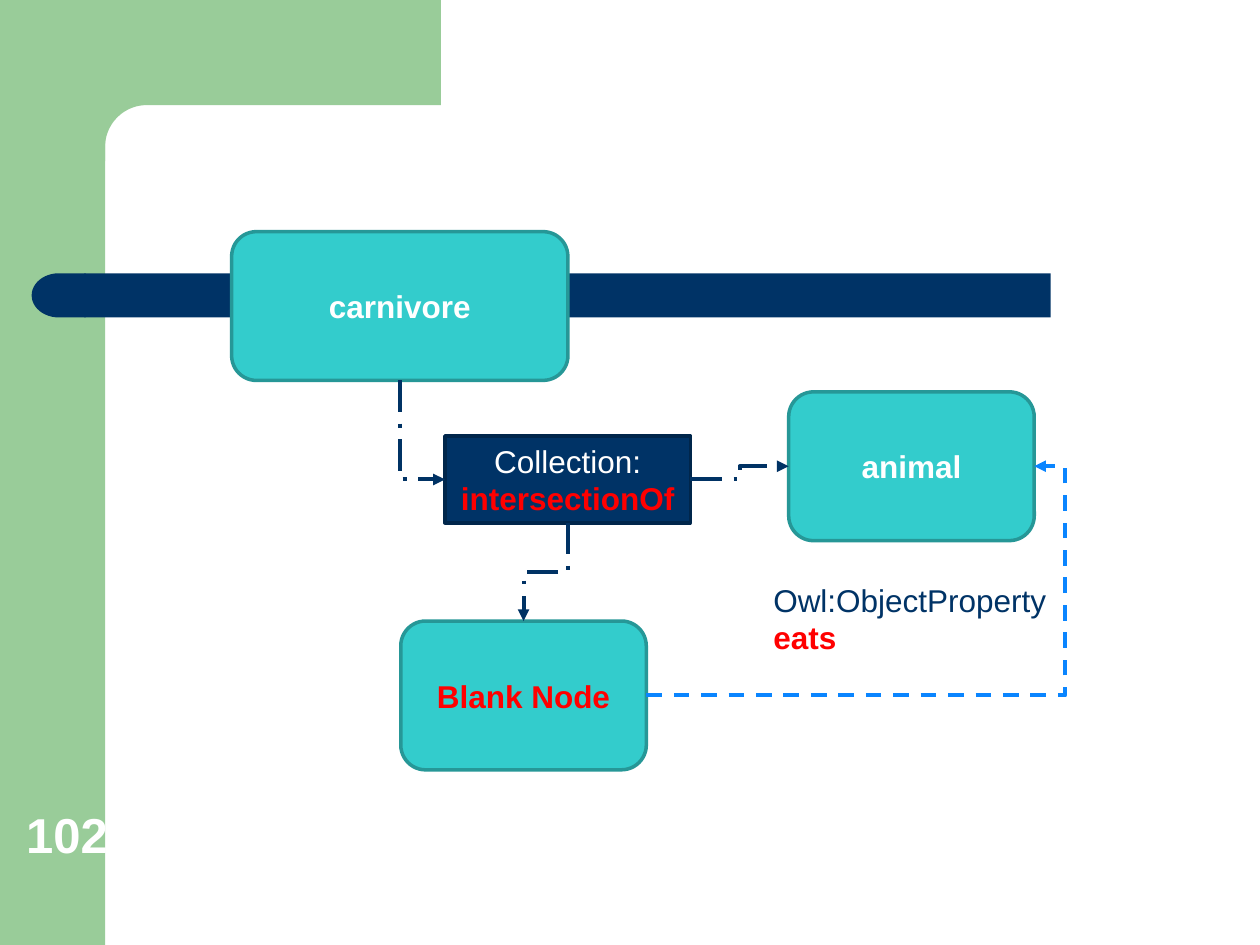
import math
from lxml import etree
from pptx import Presentation
from pptx import util as u
from pptx.dml.color import RGBColor
from pptx.enum import dml, shapes, text
from pptx.oxml.ns import qn

GREEN, NAVY, TEAL, RED, WHITE = "99CC99", "003366", "33CCCC", "FF0000", "FFFFFF"
TEAL_EDGE, NAVY_EDGE, LINK, EATS_LINK = "269797", "00264B", "003264", "0A85FF"
ROUNDED, RECTANGLE = shapes.MSO_SHAPE.ROUNDED_RECTANGLE, shapes.MSO_SHAPE.RECTANGLE
LONG_DASH, DASH = dml.MSO_LINE.LONG_DASH_DOT, dml.MSO_LINE.DASH
BOTTOM, LEFT, RIGHT = 2, 1, 3

BAND = 2.12
CORNER_RADIUS = 0.84
CORNER_RIGHT = 8.89

NODES = {
    "carnivore": (ROUNDED, (4.67, 4.67, 6.78, 3), TEAL, TEAL_EDGE,
                  [[("carnivore", WHITE, True)]]),
    "animal": (ROUNDED, (15.9, 7.9, 4.95, 3), TEAL, TEAL_EDGE,
               [[("animal", WHITE, True)]]),
    "collection": (RECTANGLE, (8.97, 8.79, 4.95, 1.75), NAVY, NAVY_EDGE,
                   [[("Collection: ", WHITE, False), ("intersectionOf", RED, True)]]),
    "blank": (ROUNDED, (8.08, 12.52, 4.95, 3), TEAL, TEAL_EDGE,
              [[("Blank Node", RED, True)]]),
}
LINKS = [
    ("collection", RIGHT, "animal", LEFT, "bentConnector3", 0.5, LINK, LONG_DASH),
    ("carnivore", BOTTOM, "collection", LEFT, "bentConnector2", None, LINK, LONG_DASH),
    ("collection", BOTTOM, "blank", 0, "bentConnector3", 0.5, LINK, LONG_DASH),
    ("blank", RIGHT, "animal", RIGHT, "bentConnector3", 1.08, EATS_LINK, DASH),
]
LABELS = [
    ((0.28, 16.18, 2.29, 1.35), [[("102", WHITE, True)]], 28, text.MSO_ANCHOR.BOTTOM),
    ((15.34, 11.58, 6.1, 1.8),
     [[("Owl:ObjectProperty", NAVY, False)], [("eats", RED, True)]], 18, text.MSO_ANCHOR.TOP),
]


def color(value):
    return RGBColor.from_string(value)


def write(frame, paragraphs, size=18, align=text.PP_ALIGN.LEFT, anchor=text.MSO_ANCHOR.MIDDLE):
    frame.word_wrap = True
    frame.vertical_anchor = anchor
    for index, runs in enumerate(paragraphs):
        paragraph = frame.paragraphs[0] if index == 0 else frame.add_paragraph()
        paragraph.alignment = align
        for words, fill, bold in runs:
            run = paragraph.add_run()
            run.text = words
            run.font.name = "Arial"
            run.font.size = u.Pt(size)
            run.font.bold = bold
            run.font.color.rgb = color(fill)


def paint(shape, fill, edge=None):
    shape.shadow.inherit = False
    shape.fill.solid()
    shape.fill.fore_color.rgb = color(fill)
    if edge:
        shape.line.color.rgb = color(edge)
        shape.line.width = u.Pt(2)
    else:
        shape.line.fill.background()
    return shape


def add_block(slide, kind, box, fill, edge=None):
    return paint(slide.shapes.add_shape(kind, *map(u.Cm, box)), fill, edge)


def add_background(slide):
    add_block(slide, RECTANGLE, (0, 0, BAND, 19.05), GREEN)
    center = BAND + CORNER_RADIUS
    arc = [(center - CORNER_RADIUS * math.sin(math.radians(angle)),
            center - CORNER_RADIUS * math.cos(math.radians(angle)))
           for angle in range(0, 91, 5)]
    outline = [(CORNER_RIGHT, 0), (CORNER_RIGHT, BAND), *arc, (BAND, 3.25), (1.27, 3.25)]
    builder = slide.shapes.build_freeform(u.Cm(1.27), 0)
    builder.add_line_segments([(u.Cm(x), u.Cm(y)) for x, y in outline], close=True)
    paint(builder.convert_to_shape(), GREEN)
    add_block(slide, RECTANGLE, (1.7, 5.51, 19.48, 0.89), NAVY)
    cap = add_block(slide, shapes.MSO_SHAPE.FLOWCHART_DELAY, (0.64, 5.51, 1.09, 0.89), NAVY)
    cap._element.spPr.find(qn("a:xfrm")).set("flipH", "1")


def turn_downward(connector):
    across = connector.end_x - connector.begin_x
    middle_x = connector.left + connector.width // 2
    middle_y = connector.top + connector.height // 2
    width, height = connector.height, connector.width
    connector.left, connector.top = middle_x - width // 2, middle_y - height // 2
    connector.width, connector.height = width, height
    transform = connector._element.spPr.find(qn("a:xfrm"))
    transform.set("rot", str((270 if across > 0 else 90) * 60000))
    transform.set("flipH", "1" if across > 0 else "0")
    transform.set("flipV", "0")


def add_link(slide, nodes, link):
    start, start_side, end, end_side, preset, bend, line_color, dash = link
    connector = slide.shapes.add_connector(shapes.MSO_CONNECTOR.ELBOW, 0, 0, 0, 0)
    connector.begin_connect(nodes[start], start_side)
    connector.end_connect(nodes[end], end_side)
    if start_side == BOTTOM:
        turn_downward(connector)
    connector.line.color.rgb = color(line_color)
    connector.line.width = u.Pt(2.25)
    connector.line.dash_style = dash
    properties = connector._element.spPr
    geometry = properties.find(qn("a:prstGeom"))
    geometry.set("prst", preset)
    if bend is not None:
        guides = geometry.find(qn("a:avLst"))
        if guides is None:
            guides = etree.SubElement(geometry, qn("a:avLst"))
        etree.SubElement(guides, qn("a:gd"), name="adj1", fmla=f"val {round(bend * 100000)}")
    etree.SubElement(properties.find(qn("a:ln")), qn("a:tailEnd"), type="triangle")
    etree.SubElement(properties, qn("a:effectLst"))


def main():
    presentation = Presentation()
    presentation.slide_width, presentation.slide_height = u.Cm(25.4), u.Cm(19.05)
    slide = presentation.slides.add_slide(presentation.slide_layouts[6])
    add_background(slide)
    nodes = {}
    for name, (kind, box, fill, edge, paragraphs) in NODES.items():
        nodes[name] = add_block(slide, kind, box, fill, edge)
        write(nodes[name].text_frame, paragraphs, align=text.PP_ALIGN.CENTER)
    for link in LINKS:
        add_link(slide, nodes, link)
    for box, paragraphs, size, anchor in LABELS:
        label = slide.shapes.add_textbox(*map(u.Cm, box))
        write(label.text_frame, paragraphs, size=size, anchor=anchor)
    presentation.save("out.pptx")


if __name__ == "__main__":
    main()
